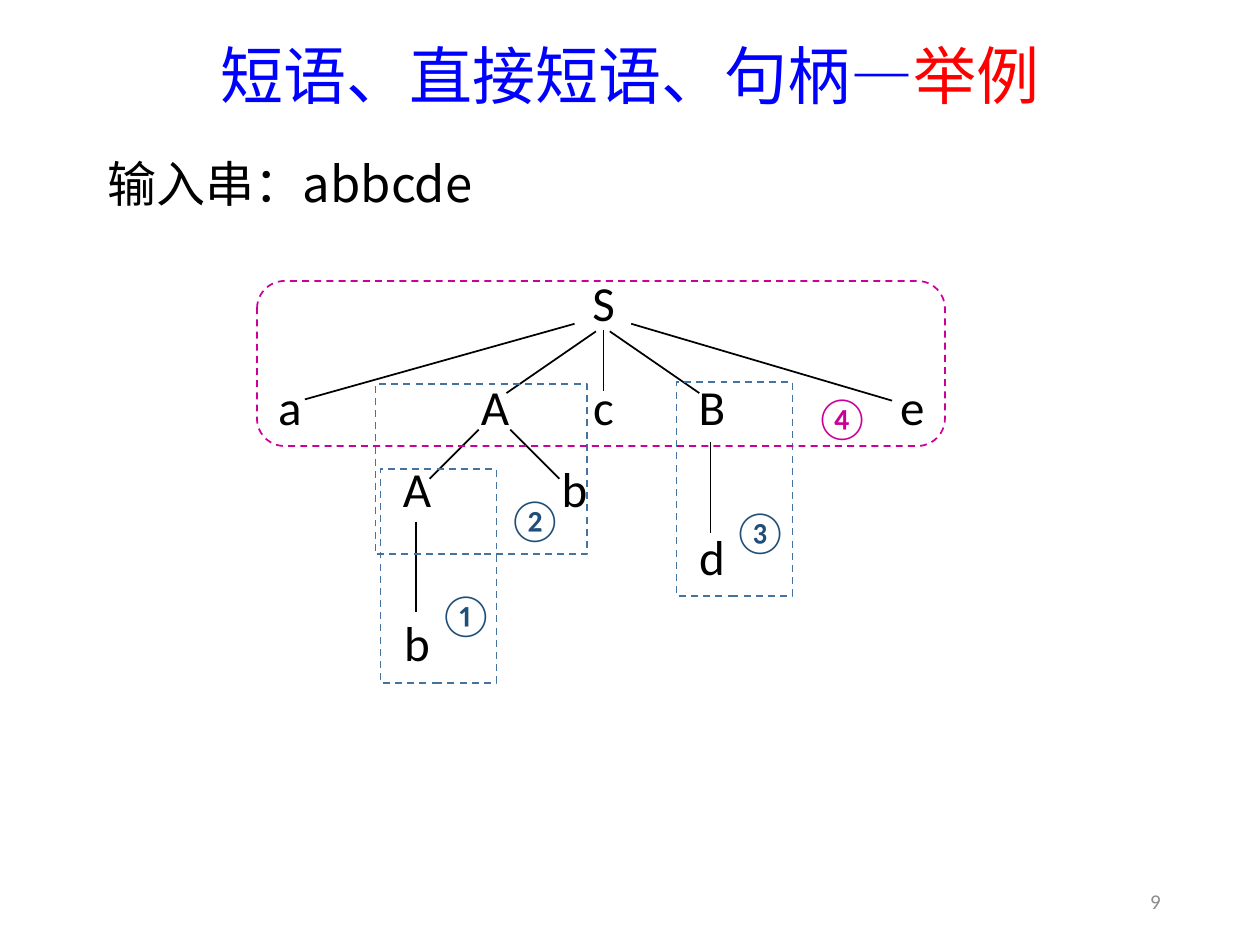
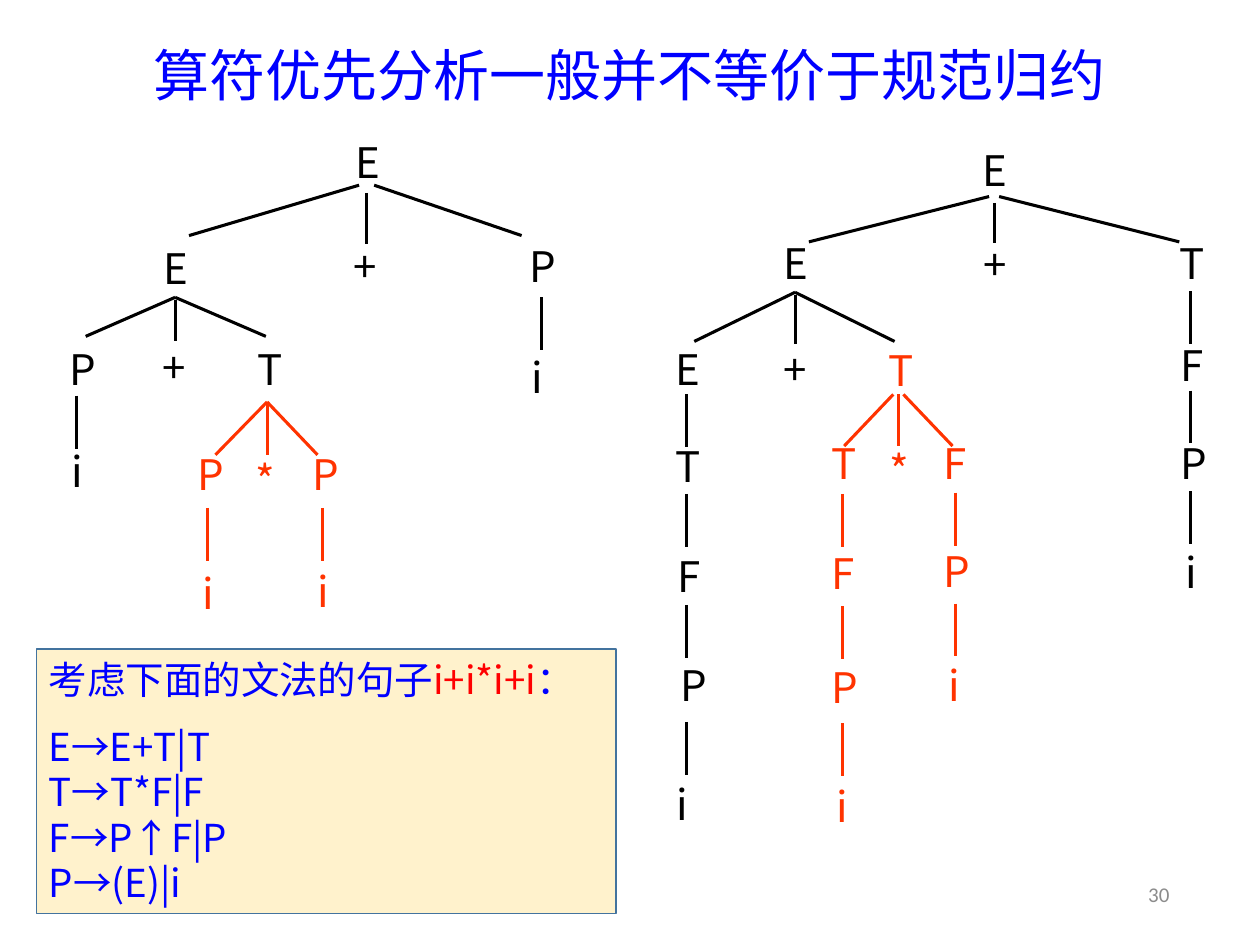
import pptx
import pptx.util
import pptx.dml.color
import pptx.enum.dml
import pptx.enum.shapes
import pptx.enum.text
import pptx.oxml.ns
import lxml.etree

Inches, Pt = pptx.util.Inches, pptx.util.Pt
ALIGN, ANCHOR = pptx.enum.text.PP_ALIGN, pptx.enum.text.MSO_ANCHOR
SHAPE = pptx.enum.shapes.MSO_SHAPE

# Shared look
LATIN, HEAD, HAN = "Calibri", "Noto Sans CJK JP", "Noto Sans CJK SC"
BLACK, BLUE, RED, ORANGE = "000000", "0000FF", "FF0000", "FF3300"
GREY, STEEL, NAVY, PINK, CREAM = "8C8C8C", "43739E", "1F4E79", "CC0099", "FFF2CC"

# Slide 1: parse tree with its phrases
PHRASE_HEAD = [("短语、直接短语、句柄—", BLUE), ("举例", RED)]
INPUT = "输入串：abbcde"
PHRASE_ROWS = [  # top, then letter and left of each node
    (2.13, [("S", 4.34)]),
    (2.96, [("a", 1.85), ("A", 3.48), ("c", 4.34), ("B", 5.2), ("e", 6.79)]),
    (3.61, [("A", 2.86), ("b", 4.11)]),
    (4.15, [("d", 5.2)]),
    (4.83, [("b", 2.86)]),
]
PHRASE_EDGES = [
    (4.84, 2.63, 5.55, 3.12), (4.02, 3.12, 4.73, 2.63), (3.3, 4.14, 3.3, 4.86),
    (4.05, 3.41, 4.44, 3.8), (3.41, 3.8, 3.8, 3.41), (5.64, 3.51, 5.64, 4.23),
    (2.42, 3.17, 4.56, 2.57), (7.08, 3.18, 5.01, 2.57), (4.79, 2.62, 4.79, 3.1),
]
FRAMES = [  # outline, frame place, mark, mark place, line and mark colours
    (SHAPE.RECTANGLE, (3.02, 3.72, 0.92, 1.7), "①", (3.38, 4.68, 0.53, 0.38), STEEL, NAVY),
    (SHAPE.RECTANGLE, (2.98, 3.05, 1.68, 1.35), "②", (3.92, 3.88, 0.65, 0.47), STEEL, NAVY),
    (SHAPE.RECTANGLE, (5.37, 3.03, 0.92, 1.7), "③", (5.7, 3.97, 0.67, 0.48), STEEL, NAVY),
    (SHAPE.ROUNDED_RECTANGLE, (2.04, 2.23, 5.46, 1.31), "④", (6.35, 3.08, 0.67, 0.45),
     PINK, PINK),
]

# Slide 2: two trees of one sentence
REDUCE_HEAD = [("算符优先分析一般并不等价于规范归约", BLUE)]
NODES = {  # letter, left, top
    BLACK: [
        ("E", 2.82, 1.07), ("E", 1.3, 1.91), ("+", 2.81, 1.89), ("P", 4.2, 1.89),
        ("i", 4.18, 2.77), ("P", 0.55, 2.71), ("+", 1.29, 2.69), ("T", 2.04, 2.71),
        ("i", 0.53, 3.52),
        ("E", 7.8, 1.13), ("E", 6.22, 1.87), ("+", 7.81, 1.88), ("T", 9.36, 1.87),
        ("E", 5.36, 2.71), ("+", 6.22, 2.71), ("F", 9.37, 2.68), ("T", 5.36, 3.48),
        ("P", 9.37, 3.46), ("F", 5.38, 4.35), ("i", 9.37, 4.32), ("P", 5.4, 5.22),
        ("i", 5.33, 6.16)],
    ORANGE: [
        ("P", 1.57, 3.54), ("*", 2.02, 3.59), ("P", 2.48, 3.54), ("i", 1.57, 4.49),
        ("i", 2.48, 4.47),
        ("T", 7.05, 2.72), ("T", 6.6, 3.46), ("*", 7.05, 3.51), ("F", 7.49, 3.46),
        ("F", 6.6, 4.33), ("P", 7.49, 4.31), ("P", 6.6, 5.23), ("i", 7.49, 5.22),
        ("i", 6.6, 6.18)],
}
FANS = {  # centre, top, half gap, left, right, foot, stem top, stem foot
    BLACK: [
        (2.91, 1.47, 0.06, 1.5, 4.14, 1.87, 1.53, 1.94),
        (1.39, 2.36, 0, 0.68, 2.11, 2.67, 2.38, 2.71),
        (7.89, 1.56, 0.04, 6.42, 9.36, 1.92, 1.61, 1.93),
        (6.31, 2.32, 0, 5.51, 7.1, 2.71, 2.34, 2.73)],
    ORANGE: [
        (2.12, 3.19, 0, 1.71, 2.52, 3.61, 3.2, 3.61),
        (7.13, 3.13, 0.04, 6.7, 7.56, 3.54, 3.13, 3.54)],
}
STEM = 0.42
STEMS = {  # column, tops
    BLACK: [(4.3, [2.36]), (0.61, [3.14]), (5.45, [3.13, 3.92, 4.8, 5.73]),
            (9.45, [2.31, 3.1, 3.9])],
    ORANGE: [(1.65, [4.03]), (2.56, [4.03]), (6.69, [3.92, 4.81, 5.74]),
             (7.58, [3.91, 4.79])],
}
GRAMMAR = [
    [("考虑下面的文法的句子", BLUE), ("i+i*i+i", RED), ("：", BLUE)],
    [("E→E+T|T", BLUE)], [("T→T*F|F", BLUE)], [("F→P↑F|P", BLUE)], [("P→(E)|i", BLUE)],
]


def tint(code):
    return pptx.dml.color.RGBColor.from_string(code)


def place(at):
    return [Inches(n) for n in at]


def write(par, runs, size, font, align=ALIGN.CENTER):
    par.alignment = align
    for text, hue in runs:
        run = par.add_run()
        run.text = text
        run.font.size, run.font.name = Pt(size), font
        run.font.color.rgb = tint(hue)
        if font != LATIN:
            east = lxml.etree.SubElement(run.font._element, pptx.oxml.ns.qn("a:ea"))
            east.set("typeface", font)


def label(slide, at, text, size, font, hue, align=ALIGN.CENTER):
    frame = slide.shapes.add_textbox(*place(at)).text_frame
    frame.word_wrap = True
    frame.vertical_anchor = ANCHOR.MIDDLE
    write(frame.paragraphs[0], [(text, hue)], size, font, align)
    return frame


def node(slide, text, left, top, hue):
    frame = label(slide, (left, top, 0.17, 0.4), text, 24, HAN, hue)
    frame.margin_left = frame.margin_right = frame.margin_top = frame.margin_bottom = 0
    frame.word_wrap = False
    frame.vertical_anchor = ANCHOR.TOP
    frame.paragraphs[0].line_spacing = Pt(30)


def edge(slide, ends, hue, width):
    line = slide.shapes.add_connector(pptx.enum.shapes.MSO_CONNECTOR.STRAIGHT, *place(ends))
    line.line.color.rgb, line.line.width = tint(hue), Pt(width)
    lxml.etree.SubElement(line._element.spPr, pptx.oxml.ns.qn("a:effectLst"))


def box(slide, kind, at, hue):
    shape = slide.shapes.add_shape(kind, *place(at))
    shape.shadow.inherit = False
    shape.fill.background()
    shape.line.color.rgb, shape.line.width = tint(hue), Pt(1)
    return shape


def start(deck, runs, size, number, spot):
    slide = deck.slides.add_slide(deck.slide_layouts[5])
    title = slide.shapes.title
    title.left, title.top, title.width, title.height = place((0.69, 0.24, 8.62, 0.77))
    frame = title.text_frame
    frame.auto_size = pptx.enum.text.MSO_AUTO_SIZE.NONE
    frame.vertical_anchor = ANCHOR.MIDDLE
    write(frame.paragraphs[0], runs, size, HEAD)
    frame.paragraphs[0].line_spacing = 0.9
    label(slide, spot, number, 12, LATIN, GREY, ALIGN.RIGHT)
    return slide


def phrases(deck):
    slide = start(deck, PHRASE_HEAD, 36, "9", (7.06, 6.95, 2.25, 0.4))
    for top, row in PHRASE_ROWS:
        for text, left in row:
            label(slide, (left, top, 0.9, 0.53), text, 28, LATIN, BLACK)
    for ends in PHRASE_EDGES:
        edge(slide, ends, BLACK, 1)
    for kind, at, mark, spot, line, hue in FRAMES:
        frame = box(slide, kind, at, line)
        frame.line.dash_style = pptx.enum.dml.MSO_LINE.DASH
        label(slide, spot, mark, 24, LATIN, hue)
    label(slide, (0.52, 1.19, 3.56, 0.53), INPUT, 28, HAN, BLACK)


def reduce(deck):
    slide = start(deck, REDUCE_HEAD, 32, "30", (8.76, 6.9, 0.62, 0.4))
    for hue in (BLACK, ORANGE):
        for text, left, top in NODES[hue]:
            node(slide, text, left, top, hue)
        for mid, top, gap, left, right, foot, high, low in FANS[hue]:
            for ends in ((mid - gap, top, left, foot), (mid, high, mid, low),
                         (mid + gap, top, right, foot)):
                edge(slide, ends, hue, 1.75)
        for col, tops in STEMS[hue]:
            for top in tops:
                edge(slide, (col, top, col, top + STEM), hue, 1.75)

    # Grammar panel
    panel = box(slide, SHAPE.RECTANGLE, (0.29, 5.15, 4.6, 2.1), STEEL)
    panel.fill.solid()
    panel.fill.fore_color.rgb = tint(CREAM)
    frame = panel.text_frame
    frame.vertical_anchor = ANCHOR.MIDDLE
    for k, runs in enumerate(GRAMMAR):
        par = frame.add_paragraph() if k else frame.paragraphs[0]
        write(par, runs, 22, HAN, ALIGN.LEFT)
        par.line_spacing = Pt(26)
        par.space_after = Pt(0 if k else 12)


def main():
    deck = pptx.Presentation()
    deck.slide_width, deck.slide_height = Inches(10), Inches(7.5)
    phrases(deck)
    reduce(deck)
    deck.save("out.pptx")


if __name__ == "__main__":
    main()
